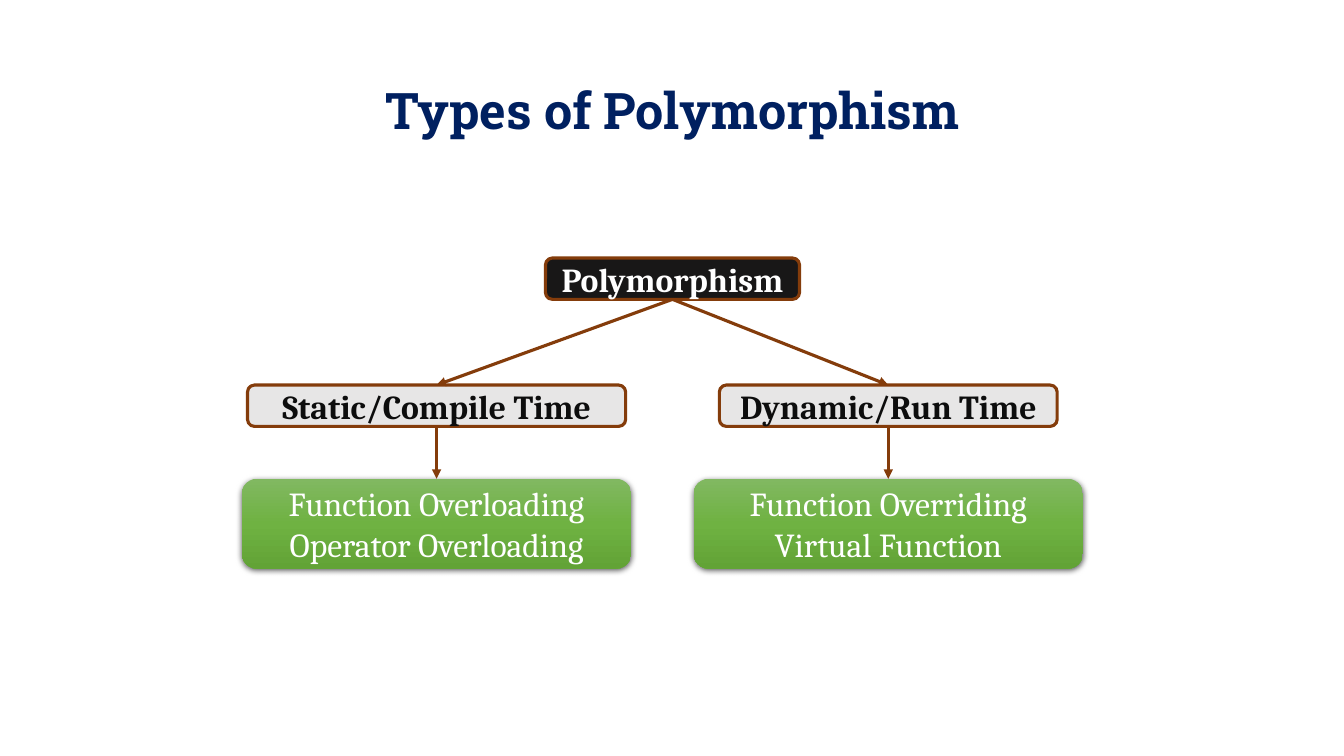
import pptx
import pptx.util
import pptx.dml.color
import pptx.enum.shapes
import pptx.enum.text
import pptx.oxml
import pptx.oxml.ns

TITLE = "Types of Polymorphism"
ROOT = {"text": "Polymorphism", "center": 6.67, "width": 2.52}
BRANCHES = [
    {"text": "Static/Compile Time", "center": 4.33, "width": 3.75,
     "examples": ["Function Overloading", "Operator Overloading"]},
    {"text": "Dynamic/Run Time", "center": 8.81, "width": 3.35,
     "examples": ["Function Overriding", "Virtual Function"]},
]

THEME = {
    "title_font": "Roboto Slab", "title_size": 36, "title_color": "002060",
    "body_font": "Cambria", "body_size": 24,
    "root_fill": "181717", "branch_fill": "E7E6E6",
    "light_text": "FFFFFF", "dark_text": "0D0D0D",
    "line": "843C0B", "line_width": 2.25,
    "gradient": [(0, "81B861"), (50, "6FB242"), (100, "62A336")],
}

SLIDE_WIDTH, SLIDE_HEIGHT = 13.33, 7.5
TITLE_BOX = (0.92, 0.4, 11.5, 1.45)
ROOT_TOP, BRANCH_TOP, EXAMPLES_TOP = 2.56, 3.82, 4.75
LABEL_HEIGHT, EXAMPLES_HEIGHT, EXAMPLES_WIDTH = 0.41, 0.89, 3.86
NAMESPACE = pptx.oxml.ns.nsdecls("a")

inches = pptx.util.Inches
points = pptx.util.Pt
rgb = pptx.dml.color.RGBColor.from_string


def write(shape, lines, font, size, color, bold):
    frame = shape.text_frame
    frame.word_wrap = True
    frame.vertical_anchor = pptx.enum.text.MSO_ANCHOR.MIDDLE
    frame.text = "\n".join(lines)
    for paragraph in frame.paragraphs:
        paragraph.alignment = pptx.enum.text.PP_ALIGN.CENTER
        for run in paragraph.runs:
            run.font.name = font
            run.font.size = points(size)
            run.font.bold = bold
            run.font.color.rgb = rgb(color)


def style_line(line):
    line.color.rgb = rgb(THEME["line"])
    line.width = points(THEME["line_width"])


def add_box(center, top, width, height, lines, color, bold):
    shape = slide.shapes.add_shape(
        pptx.enum.shapes.MSO_SHAPE.ROUNDED_RECTANGLE,
        inches(center - width / 2), inches(top), inches(width), inches(height))
    shape.shadow.inherit = False
    write(shape, lines, THEME["body_font"], THEME["body_size"], color, bold)
    return shape


def add_label(node, top, fill, color):
    shape = add_box(node["center"], top, node["width"], LABEL_HEIGHT,
                    [node["text"]], color, True)
    shape.fill.solid()
    shape.fill.fore_color.rgb = rgb(fill)
    style_line(shape.line)


def add_examples(node):
    shape = add_box(node["center"], EXAMPLES_TOP, EXAMPLES_WIDTH, EXAMPLES_HEIGHT,
                    node["examples"], THEME["light_text"], False)
    shape.line.fill.background()
    shape.fill.gradient()
    shape.fill.gradient_angle = 270
    properties = shape._element.spPr
    stops = properties.find(".//" + pptx.oxml.ns.qn("a:gsLst"))
    for stop in list(stops):
        stops.remove(stop)
    for position, color in THEME["gradient"]:
        stops.append(pptx.oxml.parse_xml(
            f'<a:gs {NAMESPACE} pos="{position * 1000}"><a:srgbClr val="{color}"/></a:gs>'))
    properties.find(pptx.oxml.ns.qn("a:effectLst")).append(pptx.oxml.parse_xml(
        f'<a:outerShdw {NAMESPACE} blurRad="{points(4.5)}" dist="{points(1.5)}" '
        'dir="5400000" algn="ctr" rotWithShape="0"><a:srgbClr val="000000">'
        '<a:alpha val="63000"/></a:srgbClr></a:outerShdw>'))


def add_arrow(start_x, start_y, end_x, end_y):
    connector = slide.shapes.add_connector(
        pptx.enum.shapes.MSO_CONNECTOR.STRAIGHT,
        inches(start_x), inches(start_y), inches(end_x), inches(end_y))
    style_line(connector.line)
    connector.line._get_or_add_ln().append(
        pptx.oxml.parse_xml(f'<a:tailEnd {NAMESPACE} type="triangle"/>'))
    connector._element.spPr.append(pptx.oxml.parse_xml(f"<a:effectLst {NAMESPACE}/>"))


presentation = pptx.Presentation()
presentation.slide_width = inches(SLIDE_WIDTH)
presentation.slide_height = inches(SLIDE_HEIGHT)
slide = presentation.slides.add_slide(presentation.slide_layouts[6])

title = slide.shapes.add_textbox(*map(inches, TITLE_BOX))
write(title, [TITLE], THEME["title_font"], THEME["title_size"], THEME["title_color"], True)
title.text_frame.paragraphs[0].line_spacing = 0.9

add_label(ROOT, ROOT_TOP, THEME["root_fill"], THEME["light_text"])
for branch in BRANCHES:
    center = branch["center"]
    add_label(branch, BRANCH_TOP, THEME["branch_fill"], THEME["dark_text"])
    add_examples(branch)
    add_arrow(ROOT["center"], ROOT_TOP + LABEL_HEIGHT, center, BRANCH_TOP)
    add_arrow(center, BRANCH_TOP + LABEL_HEIGHT, center, EXAMPLES_TOP)

presentation.save("out.pptx")
